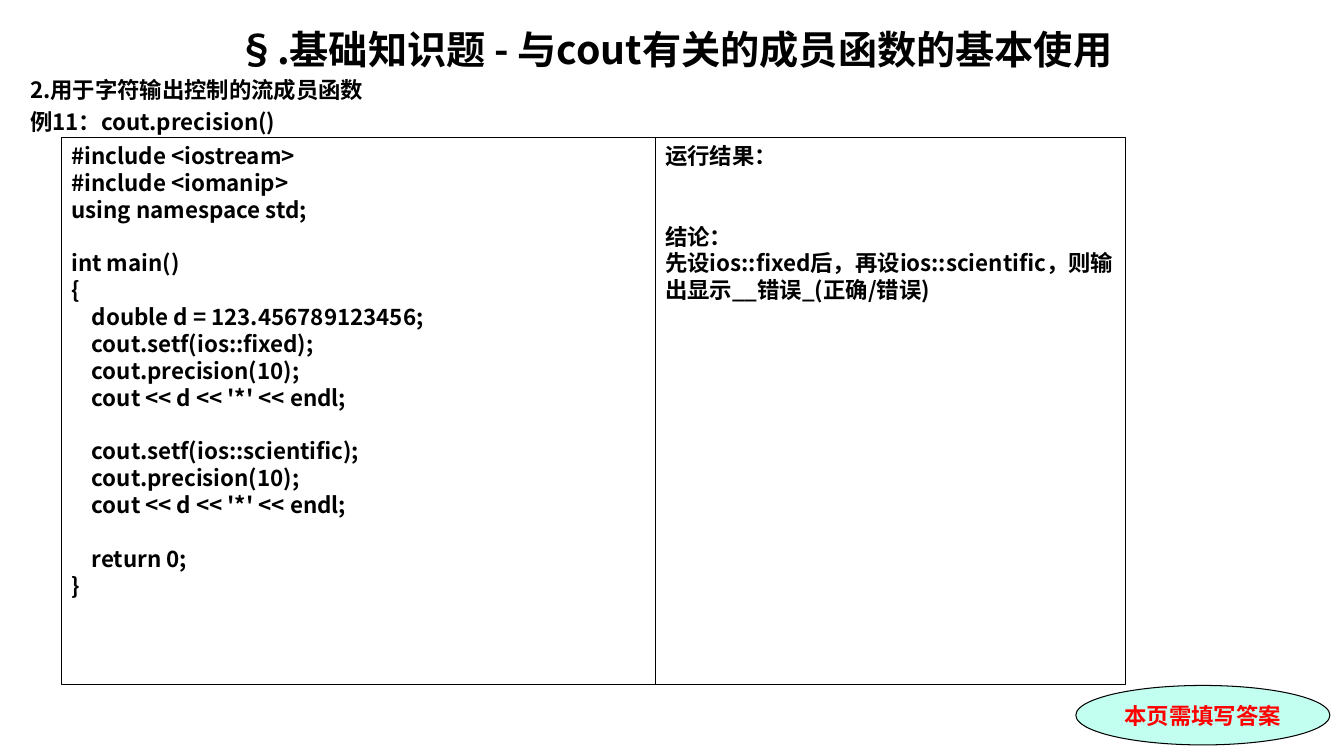
from dataclasses import dataclass

from lxml import etree
from pptx import Presentation, util as u
from pptx.dml.color import RGBColor
from pptx.enum import shapes, text
from pptx.oxml.ns import qn


@dataclass(frozen=True)
class Theme:
    black: str = "000000"
    red: str = "FF0000"
    mint: str = "C2FFF0"
    font: str = "Noto Sans CJK SC"
    note_font: str = "Times New Roman"
    title: float = 28
    title_line: float = 35
    body: float = 16
    body_line: float = 19.2
    outline: float = 0.75


THEME = Theme()
WIDTH, HEIGHT = 13.33, 7.5

TITLE = "§.基础知识题 - 与cout有关的成员函数的基本使用"
SUBTITLES = ["2.用于字符输出控制的流成员函数", "例11：cout.precision()"]
CODE = """#include <iostream>
#include <iomanip>
using namespace std;

int main()
{
    double d = 123.456789123456;
    cout.setf(ios::fixed);
    cout.precision(10);
    cout << d << '*' << endl;

    cout.setf(ios::scientific);
    cout.precision(10);
    cout << d << '*' << endl;

    return 0;
}"""
RESULT = "运行结果："
CONCLUSION = ["结论：", "先设ios::fixed后，再设ios::scientific，则输出显示__错误_(正确/错误)"]
NOTE = "本页需填写答案"


def write(frame, words, size=THEME.body, line=THEME.body_line, font=THEME.font,
          color=THEME.black, align=text.PP_ALIGN.LEFT, before=0):
    """Add one bold paragraph, reusing the empty first one of the frame."""
    paragraph = frame.paragraphs[0]
    if paragraph.runs:
        paragraph = frame.add_paragraph()
        paragraph.space_before = u.Pt(before)
    paragraph.alignment = align
    paragraph.line_spacing = u.Pt(line)
    run = paragraph.add_run()
    run.text = words
    run.font.name, run.font.size, run.font.bold = font, u.Pt(size), True
    run.font.color.rgb = RGBColor.from_string(color)
    east_asian = etree.SubElement(run.font._element, qn("a:ea"))
    east_asian.set("typeface", THEME.font)


def outlined(slide, kind, box, fill=None, anchor=text.MSO_ANCHOR.TOP):
    """Draw a thinly outlined shape and return its text frame."""
    shape = slide.shapes.add_shape(kind, *map(u.Inches, box))
    shape.shadow.inherit = False
    if fill:
        shape.fill.solid()
        shape.fill.fore_color.rgb = RGBColor.from_string(fill)
    else:
        shape.fill.background()
    shape.line.color.rgb = RGBColor.from_string(THEME.black)
    shape.line.width = u.Pt(THEME.outline)
    frame = shape.text_frame
    frame.word_wrap = True
    frame.vertical_anchor = anchor
    return frame


def add_heading(slide, box):
    frame = slide.shapes.add_textbox(*map(u.Inches, box)).text_frame
    frame.word_wrap = True
    write(frame, TITLE, size=THEME.title, line=THEME.title_line,
          align=text.PP_ALIGN.CENTER)
    for subtitle in SUBTITLES:
        write(frame, subtitle, before=0.2 * THEME.body)


def add_code(slide, box):
    """Write the listing; a blank line becomes space before the next block."""
    frame = outlined(slide, shapes.MSO_SHAPE.RECTANGLE, box)
    for block in CODE.split("\n\n"):
        for number, code_line in enumerate(block.split("\n")):
            write(frame, code_line, before=0 if number else THEME.body_line)


def add_result(slide, box):
    frame = outlined(slide, shapes.MSO_SHAPE.RECTANGLE, box)
    write(frame, RESULT)
    heading, statement = CONCLUSION
    write(frame, heading, before=2 * THEME.body_line)
    write(frame, statement)


def add_note(slide, box):
    frame = outlined(slide, shapes.MSO_SHAPE.OVAL, box, fill=THEME.mint,
                     anchor=text.MSO_ANCHOR.MIDDLE)
    write(frame, NOTE, font=THEME.note_font, color=THEME.red,
          align=text.PP_ALIGN.CENTER)


def add_exercise(slide, box):
    """Place heading, code and result columns, and corner note in the box."""
    left, top, width, height = box
    add_heading(slide, box)
    panel_left, panel_top = left + 0.41, top + 1.18
    code_width, result_width, panel_height = 5.89, 4.66, 5.43
    add_code(slide, (panel_left, panel_top, code_width, panel_height))
    note_width, note_height = 2.52, 0.59
    add_note(slide, (left + width - note_width, panel_top + panel_height + 0.01,
                     note_width, note_height))
    add_result(slide, (panel_left + code_width, panel_top,
                       result_width, panel_height))


def main():
    presentation = Presentation()
    presentation.slide_width = u.Inches(WIDTH)
    presentation.slide_height = u.Inches(HEIGHT)
    slide = presentation.slides.add_slide(presentation.slide_layouts[6])
    add_exercise(slide, (0.2, 0.18, 12.99, 7.09))
    presentation.save("out.pptx")


if __name__ == "__main__":
    main()
